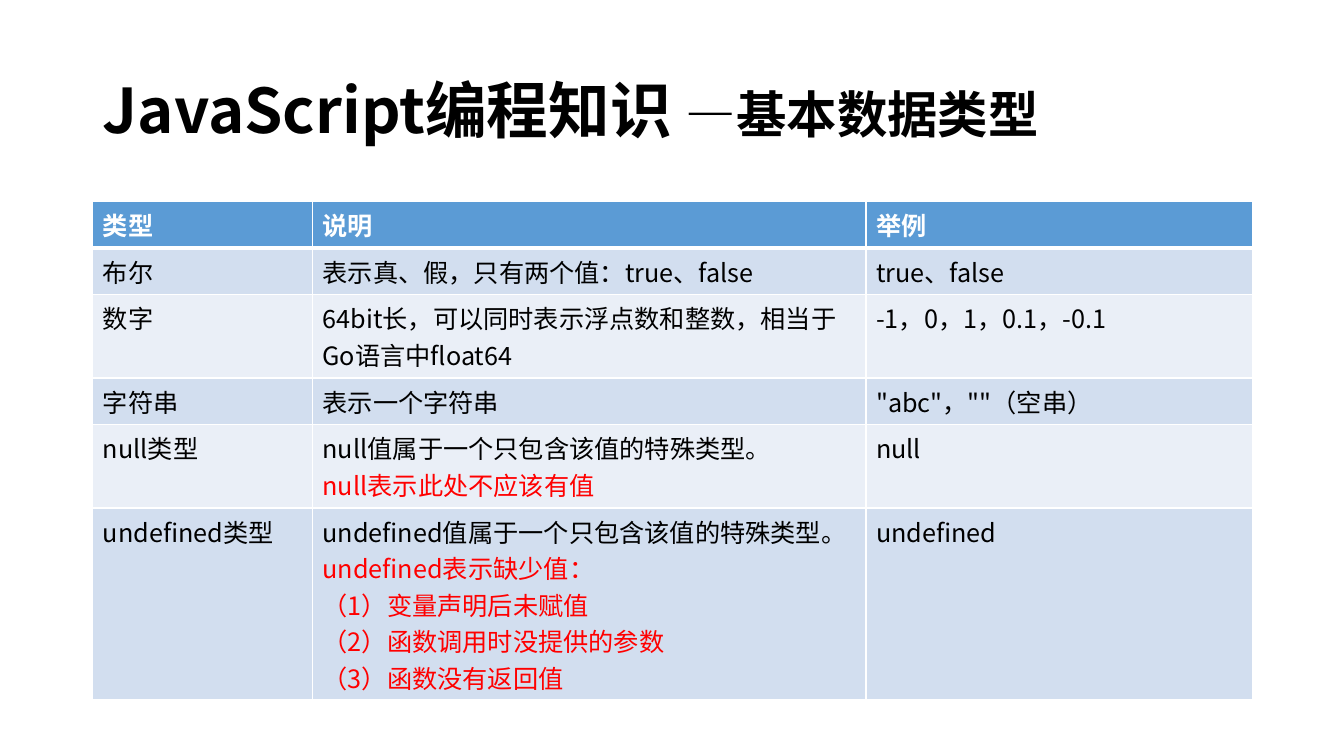
from lxml.etree import SubElement as Sub
from pptx import Presentation
from pptx.dml.color import RGBColor as Rgb
from pptx.enum.text import MSO_ANCHOR as Anchor
from pptx.oxml import parse_xml
from pptx.oxml.ns import nsdecls, qn
from pptx.util import Inches, Pt

FACE = "Noto Sans CJK SC"
BLACK, WHITE, RED = "000000", "FFFFFF", "FF0000"
HEAD, BANDS = "5B9BD5", ("D2DEEF", "EAEFF7")
COLS = (2.18, 5.49, 3.83)
TALLS = (0.46, 0.46, 0.83, 0.46, 0.83, 1.9)
ROWS = (
    ("类型", "说明", "举例"),
    ("布尔", "表示真、假，只有两个值：true、false", "true、false"),
    ("数字", "64bit长，可以同时表示浮点数和整数，相当于Go语言中float64",
     "-1，0，1，0.1，-0.1"),
    ("字符串", "表示一个字符串", '"abc"，""（空串）'),
    ("null类型", "null值属于一个只包含该值的特殊类型。\nnull表示此处不应该有值", "null"),
    ("undefined类型",
     "undefined值属于一个只包含该值的特殊类型。\nundefined表示缺少值：\n"
     "（1）变量声明后未赋值\n（2）函数调用时没提供的参数\n（3）函数没有返回值",
     "undefined"),
)


def color(code):
    """Turn a hex string into a colour."""
    return Rgb.from_string(code)


def style(para, code, bold):
    """Set the face, colour and weight of a paragraph."""
    font = para.font
    font.name, font.bold = FACE, bold
    font.color.rgb = color(code)
    base = para._p.pPr.find(qn("a:defRPr"))
    Sub(base, qn("a:ea")).set("typeface", FACE)


def add_title(slide, parts):
    """Add the title from pairs of text and size."""
    box = slide.shapes.add_textbox(Inches(0.92), Inches(0.4), Inches(11.5), Inches(1.45))
    frame = box.text_frame
    frame.word_wrap = True
    frame.vertical_anchor = Anchor.MIDDLE
    para = frame.paragraphs[0]
    para.line_spacing = 0.9
    style(para, BLACK, True)
    for text, size in parts:
        run = para.add_run()
        run.text, run.font.size = text, Pt(size)


def edge(cell, sides):
    """Draw white borders from pairs of side and width."""
    props = cell._tc.get_or_add_tcPr()
    for spot, (side, width) in enumerate(sides):
        line = parse_xml(
            f'<a:ln{side} {nsdecls("a")} w="{Pt(width)}"><a:solidFill>'
            f'<a:srgbClr val="{WHITE}"/></a:solidFill></a:ln{side}>')
        props.insert(spot, line)


def fill_cell(cell, text, row):
    """Write and paint one cell, with later lines in red."""
    head = row == 0
    cell.text = text
    for spot, para in enumerate(cell.text_frame.paragraphs):
        para.font.size = Pt(18)
        style(para, WHITE if head else RED if spot else BLACK, head)
    cell.fill.solid()
    cell.fill.fore_color.rgb = color(HEAD if head else BANDS[(row - 1) % 2])
    top, base = 3 if row == 1 else 1, 3 if head else 1
    edge(cell, (("L", 1), ("R", 1), ("T", top), ("B", base)))


def add_grid(slide):
    """Add the table of data types."""
    shape = slide.shapes.add_table(
        len(ROWS), len(COLS), Inches(0.92), Inches(2),
        Inches(sum(COLS)), Inches(sum(TALLS)))
    table = shape.table
    for col, width in zip(table.columns, COLS):
        col.width = Inches(width)
    for row, (texts, tall) in enumerate(zip(ROWS, TALLS)):
        table.rows[row].height = Inches(tall)
        for col, text in enumerate(texts):
            fill_cell(table.cell(row, col), text, row)


def main():
    """Build and save the slide."""
    deck = Presentation()
    deck.slide_width, deck.slide_height = Inches(13.33), Inches(7.5)
    slide = deck.slides.add_slide(deck.slide_layouts[6])
    add_title(slide, (("JavaScript编程知识 ", 44), ("—基本数据类型", 36)))
    add_grid(slide)
    deck.save("out.pptx")


if __name__ == "__main__":
    main()
